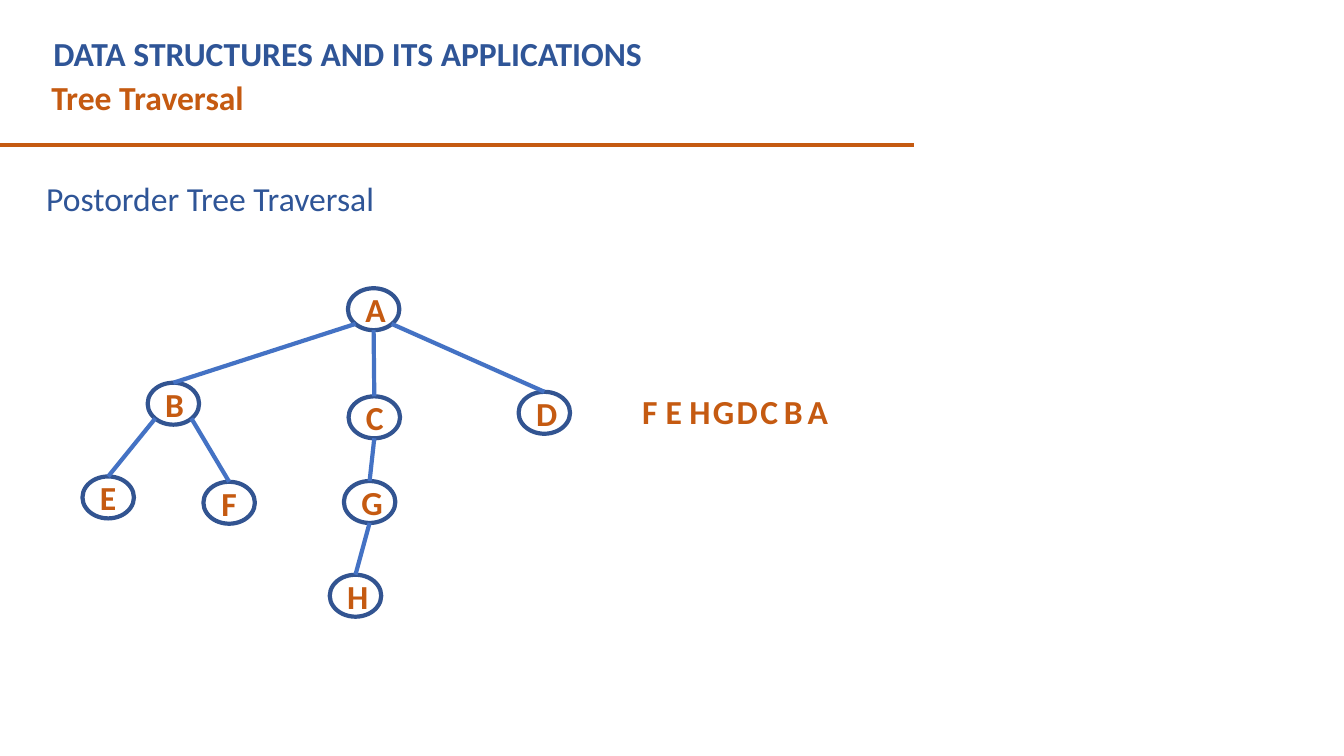
from lxml.etree import SubElement
from pptx import Presentation
from pptx.dml.color import RGBColor
from pptx.enum.shapes import MSO_CONNECTOR, MSO_SHAPE
from pptx.enum.text import MSO_ANCHOR, PP_ALIGN
from pptx.oxml.ns import qn
from pptx.util import Inches, Pt

COLORS = {
    "heading": "2F5597",
    "accent": "C55A11",
    "outline": "325491",
    "edge": "4472C4",
    "node": "FFFFFF",
}

NODES = {
    "A": (27.8, 40.9),
    "B": (12.9, 53.4),
    "C": (27.85, 55.2),
    "D": (40.5, 54.6),
    "E": (8.05, 65.8),
    "F": (17.05, 66.5),
    "G": (27.5, 66.4),
    "H": (26.45, 78.8),
}
EDGES = ["AB", "AC", "AD", "BE", "BF", "CG", "GH"]
VISIT_ORDER = "FEHGDCBA"


def color(name):
    return RGBColor.from_string(COLORS[name])


def write(shape, text, ink="accent", bold=True, align=PP_ALIGN.LEFT, spacing=None):
    para = shape.text_frame.paragraphs[0]
    para.alignment = align
    para.line_spacing = spacing
    span = para.add_run()
    span.text = text
    span.font.name = "Calibri"
    span.font.size = Pt(24)
    span.font.bold = bold
    span.font.color.rgb = color(ink)


class TreePage:
    """Draws on one slide using a grid of 100 columns by 100 rows."""

    node_width, node_height = 3.83, 5.55
    stroke = Pt(3)

    def __init__(self, deck):
        self.column = deck.slide_width / 100
        self.row = deck.slide_height / 100
        self.page = deck.slides.add_slide(deck.slide_layouts[6])

    def place(self, *lengths):
        units = (self.column, self.row) * 2
        return [round(length * unit) for length, unit in zip(lengths, units)]

    def text(self, content, left, top, width, height=6.67, **style):
        box = self.page.shapes.add_textbox(*self.place(left, top, width, height))
        box.text_frame.word_wrap = True
        write(box, content, **style)
        return box

    def line(self, start, end, ink):
        line = self.page.shapes.add_connector(
            MSO_CONNECTOR.STRAIGHT, *self.place(*start, *end)
        )
        line.line.color.rgb = color(ink)
        line.line.width = self.stroke
        SubElement(line._element.spPr, qn("a:effectLst"))
        return line

    def node(self, letter, center):
        left = center[0] - self.node_width / 2
        top = center[1] - self.node_height / 2
        oval = self.page.shapes.add_shape(
            MSO_SHAPE.OVAL, *self.place(left, top, self.node_width, self.node_height)
        )
        oval.shadow.inherit = False
        oval.fill.solid()
        oval.fill.fore_color.rgb = color("node")
        oval.line.color.rgb = color("outline")
        oval.line.width = self.stroke
        oval.text_frame.vertical_anchor = MSO_ANCHOR.MIDDLE
        write(oval, letter, align=PP_ALIGN.CENTER)
        return oval

    def edge(self, parent, child, child_oval):
        (x, y), (child_x, child_y) = parent, child
        shift = child_x - x
        if abs(shift) < self.node_width / 2:
            start = (x, y + self.node_height / 2)
        else:
            side = 1 if shift > 0 else -1
            start = (x + side * self.node_width * 0.35, y + self.node_height * 0.35)
        line = self.line(start, (child_x, child_y - self.node_height / 2), "edge")
        line.end_connect(child_oval, 0)


def main():
    deck = Presentation()
    deck.slide_width, deck.slide_height = Inches(13.33), Inches(7.5)
    page = TreePage(deck)

    page.text("Tree Traversal", 3.08, 9.47, 65.6)
    page.line((0, 19.2), (68.03, 19.2), "accent")
    topic = page.text("Postorder Tree Traversal", 2.7, 20.93, 65.1, 72.67,
                      ink="heading", bold=False, align=PP_ALIGN.JUSTIFY, spacing=1.5)
    topic.text_frame.margin_top = topic.text_frame.margin_bottom = 0
    page.text("DATA STRUCTURES AND ITS APPLICATIONS", 3.23, 3.73, 61.5, ink="heading")

    ovals = {letter: page.node(letter, center) for letter, center in NODES.items()}
    for parent, child in EDGES:
        page.edge(NODES[parent], NODES[child], ovals[child])

    for index, letter in enumerate(VISIT_ORDER):
        page.text(letter, 47.03 + 1.76 * index, 51.07, 3.08)

    deck.save("out.pptx")


if __name__ == "__main__":
    main()
